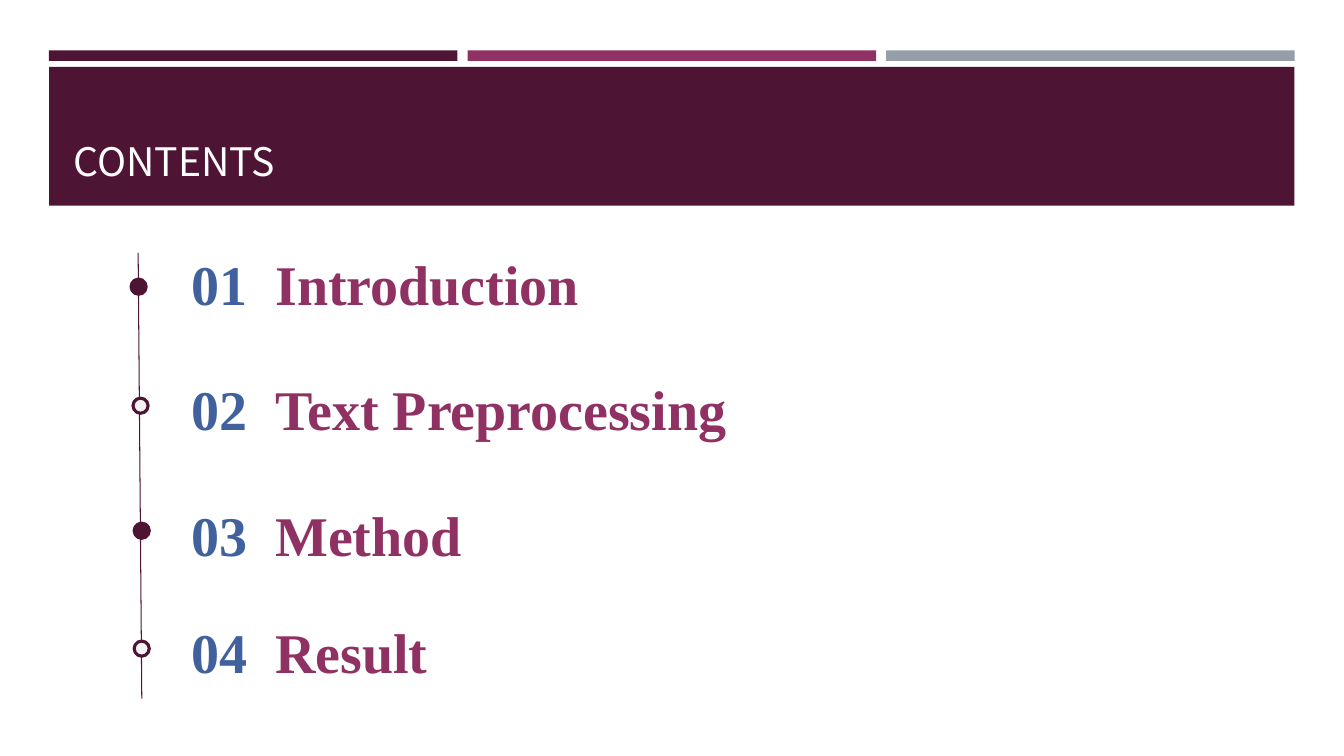
import pptx
import pptx.util
import pptx.dml.color
import pptx.enum.shapes
import pptx.enum.text
import lxml.etree

Pt = pptx.util.Pt
KIND = pptx.enum.shapes.MSO_SHAPE
ANCHOR = pptx.enum.text.MSO_ANCHOR

COLORS = {
    "plum": "4D1434", "berry": "903163", "gray": "969FA7",
    "blue": "40619D", "pale": "F3F3F3", "white": "FFFFFF",
}
TITLE = "CONTENTS"
STRIPES = ["plum", "berry", "gray"]
# number, topic, text top, text width, dot left, dot top, dot fill
TOPICS = [
    ("01", "Introduction", 180, 522, 93.6, 199.4, "plum"),
    ("02", "Text Preprocessing", 269.3, 658.8, 95, 284.4, "pale"),
    ("03", "Method", 359.3, 463, 95.8, 373.7, "plum"),
    ("04", "Result", 442.8, 600.5, 95.8, 457.9, "pale"),
]
EDGE, STRIPE, GAP = 35, 291.8, 7.2
DOT, TAB = 10.8, 60


def color(name):
    return pptx.dml.color.RGBColor.from_string(COLORS[name])


def add_part(slide, kind, box, fill, line=None):
    part = slide.shapes.add_shape(kind, *map(Pt, box))
    part.shadow.inherit = False
    part.fill.solid()
    part.fill.fore_color.rgb = color(fill)
    if line:
        part.line.color.rgb = color(line)
        part.line.width = Pt(2.25)
    else:
        part.line.fill.background()


def add_text(slide, box, runs, font, size, bold=False, space=1.0,
             anchor=ANCHOR.TOP, tab=None):
    """Write one paragraph of (text, colour) runs, with an optional tab stop."""
    frame = slide.shapes.add_textbox(*map(Pt, box)).text_frame
    frame.word_wrap = True
    frame.vertical_anchor = anchor
    para = frame.paragraphs[0]
    para.line_spacing = space
    if tab:
        ns = "{http://schemas.openxmlformats.org/drawingml/2006/main}"
        stops = lxml.etree.SubElement(para._p.get_or_add_pPr(), ns + "tabLst")
        lxml.etree.SubElement(stops, ns + "tab", pos=str(int(Pt(tab))), algn="l")
    for text, tint in runs:
        run = para.add_run()
        run.text = text
        run.font.name = font
        run.font.size = Pt(size)
        run.font.bold = bold
        run.font.color.rgb = color(tint)


def add_line(slide, start, end):
    line = slide.shapes.add_connector(
        pptx.enum.shapes.MSO_CONNECTOR.STRAIGHT, *map(Pt, start + end))
    line.line.color.rgb = color("plum")
    line.line.width = Pt(0.75)
    props = line._element.spPr
    props.append(props.makeelement(
        "{http://schemas.openxmlformats.org/drawingml/2006/main}effectLst"))


def main():
    deck = pptx.Presentation()
    deck.slide_width, deck.slide_height = Pt(960), Pt(540)
    slide = deck.slides.add_slide(deck.slide_layouts[6])

    for i, tint in enumerate(STRIPES):
        left = EDGE + i * (STRIPE + GAP)
        add_part(slide, KIND.RECTANGLE, (left, 36, STRIPE, 7.5), tint)
    add_part(slide, KIND.RECTANGLE, (EDGE, 47.7, 889.6, 99.2), "plum")
    add_text(slide, (45.5, 57.6, 868.3, 77.8), [(TITLE, "white")],
             "Noto Sans CJK TC", 28, anchor=ANCHOR.BOTTOM)

    add_line(slide, (98.7, 180.7), (101.3, 499))
    for number, topic, top, width, dot_x, dot_y, fill in TOPICS:
        add_part(slide, KIND.OVAL, (dot_x, dot_y, DOT, DOT), fill, "plum")
        add_text(slide, (129.6, top, width, 40),
                 [(number, "blue"), ("\t" + topic, "berry")],
                 "Times New Roman", 40, bold=True, space=0.9, tab=TAB)

    deck.save("out.pptx")


if __name__ == "__main__":
    main()
